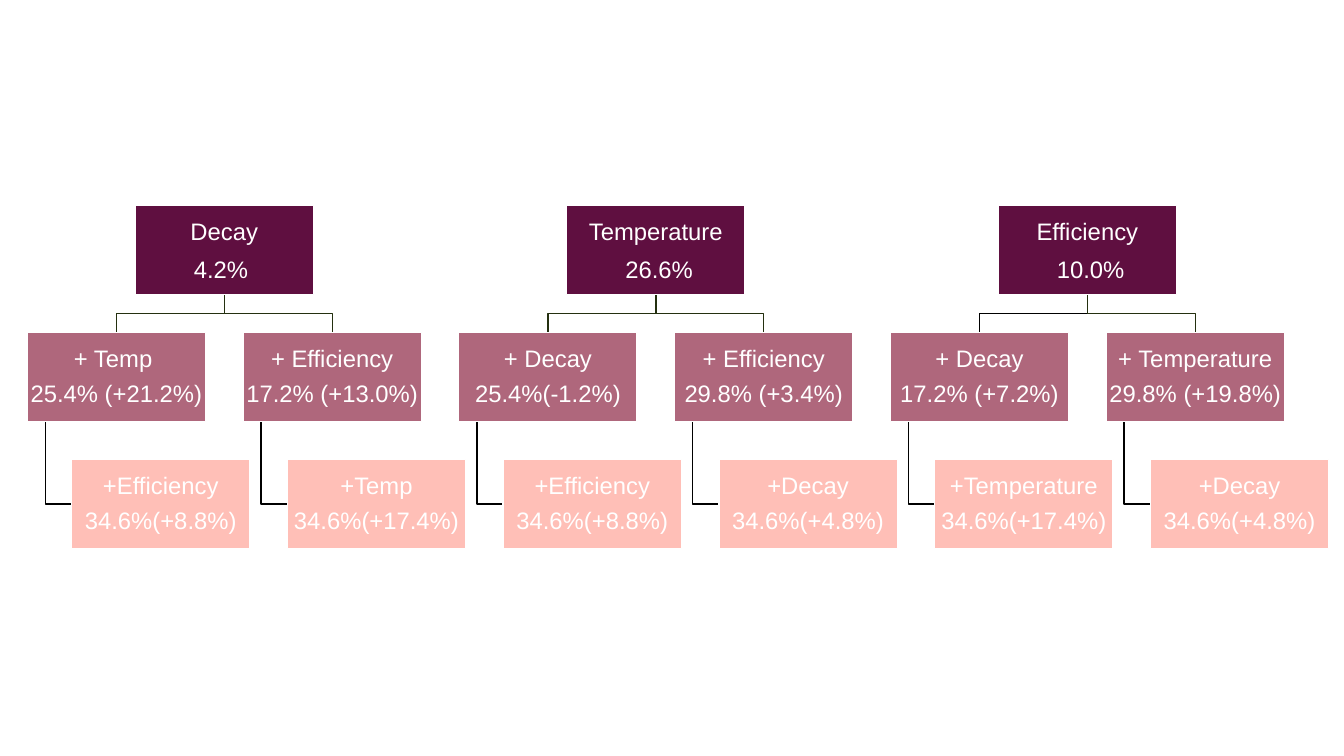
from pptx import Presentation
from pptx.dml.color import RGBColor
from pptx.enum.shapes import MSO_SHAPE
from pptx.enum.text import MSO_ANCHOR, PP_ALIGN
from pptx.util import Inches, Pt

COLORS = {
    "root": "5F0F40",
    "branch": "AF677C",
    "leaf": "FFBFB7",
    "white": "FFFFFF",
    "black": "000000",
    "olive": "243010",
}
BOX_WIDTH, BOX_HEIGHT = 1.77, 0.88
ROOT_TOP, BRANCH_TOP, LEAF_TOP = 2.04, 3.3, 4.56
FIRST_LEFT, COLUMN_STEP, LEAF_INDENT = 0.27, 2.14, 0.44

TREES = [
    (("Decay", "4.2% "), [
        (("+ Temp ", "25.4% (+21.2%)"), ("+Efficiency", "34.6%(+8.8%)"), "olive"),
        (("+ Efficiency", "17.2% (+13.0%)"), ("+Temp", "34.6%(+17.4%)"), "olive"),
    ]),
    (("Temperature", " 26.6%"), [
        (("+ Decay", "25.4%(-1.2%)"), ("+Efficiency", "34.6%(+8.8%)"), "olive"),
        (("+ Efficiency", "29.8% (+3.4%)"), ("+Decay", "34.6%(+4.8%)"), "olive"),
    ]),
    (("Efficiency", " 10.0%"), [
        (("+ Decay", "17.2% (+7.2%)"), ("+Temperature", "34.6%(+17.4%)"), "black"),
        (("+ Temperature", "29.8% (+19.8%)"), ("+Decay", "34.6%(+4.8%)"), "olive"),
    ]),
]

deck = Presentation()
deck.slide_width, deck.slide_height = Inches(13.33), Inches(7.5)
page = deck.slides.add_slide(deck.slide_layouts[6])


def add_box(lines, left, top, fill, spacing=0.9):
    box = page.shapes.add_shape(MSO_SHAPE.RECTANGLE, Inches(left), Inches(top),
                                Inches(BOX_WIDTH), Inches(BOX_HEIGHT))
    box.shadow.inherit = False
    box.fill.solid()
    box.fill.fore_color.rgb = RGBColor.from_string(COLORS[fill])
    box.line.color.rgb = RGBColor.from_string(COLORS["white"])
    box.line.width = Pt(1)
    frame = box.text_frame
    frame.word_wrap = True
    frame.vertical_anchor = MSO_ANCHOR.MIDDLE
    frame.margin_left = frame.margin_right = Inches(0.01)
    frame.margin_top = frame.margin_bottom = Inches(0.01)
    for index, line in enumerate(lines):
        para = frame.paragraphs[0] if index == 0 else frame.add_paragraph()
        para.alignment = PP_ALIGN.CENTER
        para.line_spacing = spacing
        para.space_after = Pt(6.8)
        span = para.add_run()
        span.text = line
        span.font.name = "Arial"
        span.font.size = Pt(17)
        span.font.color.rgb = RGBColor.from_string(COLORS["white"])


def add_elbow(points, color):
    start, *rest = [(Inches(x), Inches(y)) for x, y in points]
    builder = page.shapes.build_freeform(*start)
    builder.add_line_segments(rest, close=False)
    elbow = builder.convert_to_shape()
    elbow.shadow.inherit = False
    elbow.fill.background()
    elbow.line.color.rgb = RGBColor.from_string(COLORS[color])
    elbow.line.width = Pt(1)


for tree_index, (root, branches) in enumerate(TREES):
    tree_left = FIRST_LEFT + tree_index * 2 * COLUMN_STEP
    root_left = tree_left + COLUMN_STEP / 2
    root_center = root_left + BOX_WIDTH / 2
    for branch_index, (branch, leaf, color) in enumerate(branches):
        left = tree_left + branch_index * COLUMN_STEP
        center = left + BOX_WIDTH / 2
        stem = left + 0.18
        leaf_left = left + LEAF_INDENT
        leaf_middle = LEAF_TOP + BOX_HEIGHT / 2
        add_elbow([(root_center, ROOT_TOP + BOX_HEIGHT), (root_center, 3.11),
                   (center, 3.11), (center, BRANCH_TOP)], color)
        add_elbow([(stem, BRANCH_TOP + BOX_HEIGHT), (stem, leaf_middle),
                   (leaf_left, leaf_middle)], "black")
        add_box(branch, left, BRANCH_TOP, "branch")
        add_box(leaf, leaf_left, LEAF_TOP, "leaf")
    add_box(root, root_left, ROOT_TOP, "root", spacing=1.0)

deck.save("out.pptx")
